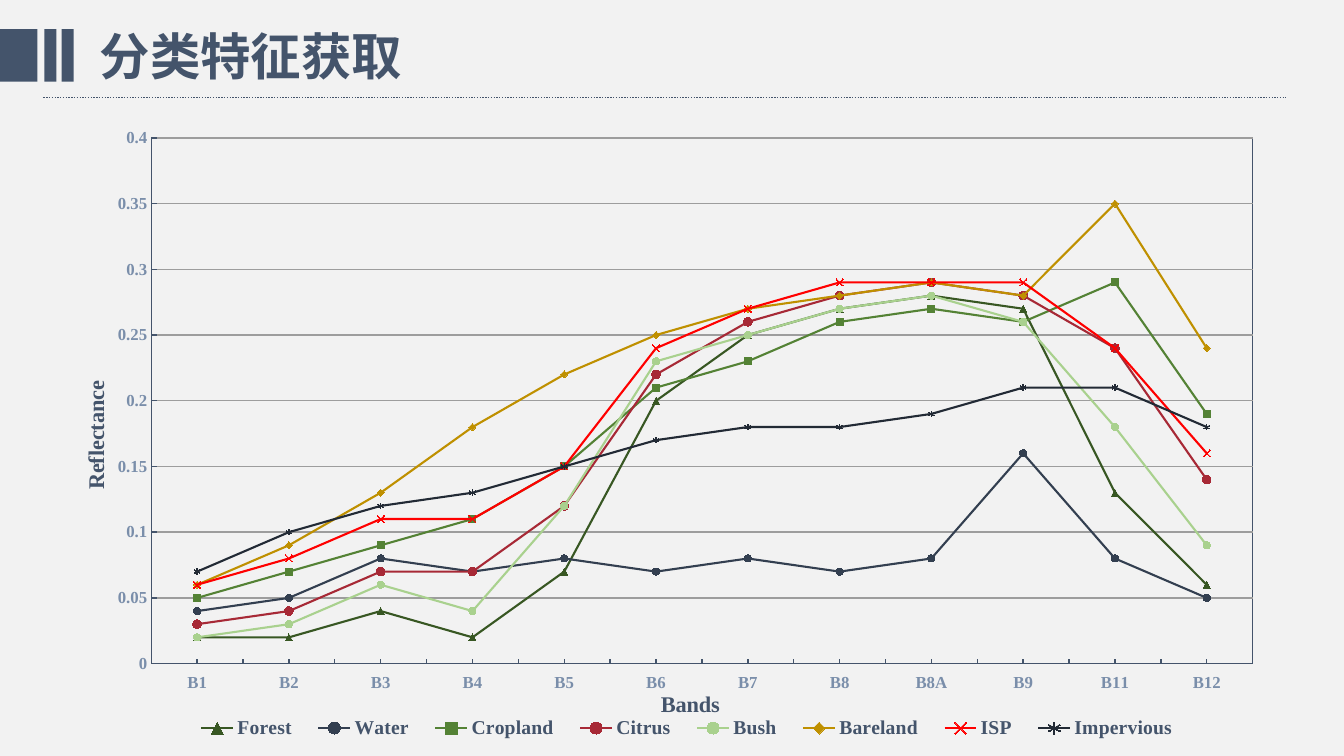
"""Builds the slide with the spectral reflectance chart of eight land cover classes."""
from typing import Any, NamedTuple

from lxml.etree import SubElement
from pptx import Presentation
from pptx.chart.chart import Chart
from pptx.chart.data import CategoryChartData
from pptx.dml.color import RGBColor
from pptx.enum.chart import XL_CHART_TYPE, XL_LEGEND_POSITION, XL_MARKER_STYLE, XL_TICK_LABEL_POSITION, XL_TICK_MARK
from pptx.enum.dml import MSO_LINE
from pptx.enum.shapes import MSO_CONNECTOR, MSO_SHAPE
from pptx.enum.text import MSO_AUTO_SIZE
from pptx.oxml import parse_xml
from pptx.oxml.ns import nsdecls, qn
from pptx.slide import Slide
from pptx.util import Inches, Length, Pt

SLATE = RGBColor(0x44, 0x54, 0x6B)
MIST = RGBColor(0x7A, 0x8E, 0xAA)
PAPER = RGBColor(0xF2, 0xF2, 0xF2)
GRID = RGBColor(0x9D, 0x9D, 0x9D)
FOREST = RGBColor(0x38, 0x57, 0x23)
WATER = RGBColor(0x33, 0x3F, 0x50)
CROPLAND = RGBColor(0x54, 0x82, 0x35)
CITRUS = RGBColor(0xA7, 0x29, 0x36)
BUSH = RGBColor(0xA9, 0xD1, 0x8E)
BARELAND = RGBColor(0xBF, 0x90, 0x00)
RED = RGBColor(0xFF, 0x00, 0x00)
IMPERVIOUS = RGBColor(0x22, 0x2A, 0x35)
HEADING_FONT = "Noto Sans CJK SC"
CHART_FONT = "Times New Roman"
PAGE_WIDTH, PAGE_HEIGHT = Inches(13.33), Inches(7.5)


class Area(NamedTuple):
    """Position and size in percent of the surrounding frame."""
    left: float
    top: float
    width: float
    height: float


class Curve(NamedTuple):
    """One land cover class with its look and reflectances."""
    name: str
    color: RGBColor
    marker: XL_MARKER_STYLE
    size: int
    values: tuple[float, ...]


BARS = (Area(0, 3.87, 2.78, 6.93), Area(3.3, 3.87, 0.9, 6.93), Area(4.58, 3.87, 0.9, 6.93))
HEADING = Area(6.68, 2.67, 24.23, 9.47)
CHART = Area(5.25, 15.33, 89.57, 83.2)
PLOT = Area(6.7, 3.5, 91.5, 83.6)
LEGEND = Area(9.2, 95.1, 84, 4.5)
BANDS = ("B1", "B2", "B3", "B4", "B5", "B6", "B7", "B8", "B8A", "B9", "B11", "B12")
CURVES = (
    Curve("Forest", FOREST, XL_MARKER_STYLE.TRIANGLE, 5,
          (0.02, 0.02, 0.04, 0.02, 0.07, 0.2, 0.25, 0.27, 0.28, 0.27, 0.13, 0.06)),
    Curve("Water", WATER, XL_MARKER_STYLE.CIRCLE, 5,
          (0.04, 0.05, 0.08, 0.07, 0.08, 0.07, 0.08, 0.07, 0.08, 0.16, 0.08, 0.05)),
    Curve("Cropland", CROPLAND, XL_MARKER_STYLE.SQUARE, 5,
          (0.05, 0.07, 0.09, 0.11, 0.15, 0.21, 0.23, 0.26, 0.27, 0.26, 0.29, 0.19)),
    Curve("Citrus", CITRUS, XL_MARKER_STYLE.CIRCLE, 6,
          (0.03, 0.04, 0.07, 0.07, 0.12, 0.22, 0.26, 0.28, 0.29, 0.28, 0.24, 0.14)),
    Curve("Bush", BUSH, XL_MARKER_STYLE.CIRCLE, 5,
          (0.02, 0.03, 0.06, 0.04, 0.12, 0.23, 0.25, 0.27, 0.28, 0.26, 0.18, 0.09)),
    Curve("Bareland", BARELAND, XL_MARKER_STYLE.DIAMOND, 5,
          (0.06, 0.09, 0.13, 0.18, 0.22, 0.25, 0.27, 0.28, 0.29, 0.28, 0.35, 0.24)),
    Curve("ISP", RED, XL_MARKER_STYLE.X, 5,
          (0.06, 0.08, 0.11, 0.11, 0.15, 0.24, 0.27, 0.29, 0.29, 0.29, 0.24, 0.16)),
    Curve("Impervious", IMPERVIOUS, XL_MARKER_STYLE.STAR, 4,
          (0.07, 0.1, 0.12, 0.13, 0.15, 0.17, 0.18, 0.18, 0.19, 0.21, 0.21, 0.18)),
)
CATEGORY_FORMAT = {
    "tick_label_position": XL_TICK_LABEL_POSITION.LOW, "has_major_gridlines": False,
    "major_tick_mark": XL_TICK_MARK.NONE, "minor_tick_mark": XL_TICK_MARK.INSIDE}
VALUE_FORMAT = {
    "minimum_scale": 0, "maximum_scale": 0.4, "major_unit": 0.05, "has_major_gridlines": True,
    "major_tick_mark": XL_TICK_MARK.INSIDE, "minor_tick_mark": XL_TICK_MARK.NONE}


def across(share: float) -> Length:
    return Length(round(PAGE_WIDTH * share / 100))


def down(share: float) -> Length:
    return Length(round(PAGE_HEIGHT * share / 100))


def frame(area: Area) -> tuple[Length, ...]:
    return across(area.left), down(area.top), across(area.width), down(area.height)


def apply_format(target: Any, values: dict[str, Any]) -> None:
    for name, value in values.items():
        setattr(target, name, value)


def style_font(font: Any, size: int, color: RGBColor, name: str = CHART_FONT, bold: bool = True) -> None:
    apply_format(font, {"size": Pt(size), "bold": bold, "name": name})
    font.color.rgb = color


def style_line(line: Any, color: RGBColor, width: float = 1) -> None:
    line.color.rgb = color
    line.width = Pt(width)


def place(element: Any, index: int, kind: str, shares: dict[str, float]) -> None:
    for old in element.findall(qn("c:layout")):
        element.remove(old)
    layout = parse_xml(f"<c:layout {nsdecls('c')}/>")
    manual = SubElement(layout, qn("c:manualLayout"))
    if kind == "inner":
        SubElement(manual, qn("c:layoutTarget"), val="inner")
    for mode in ("xMode", "yMode"):
        SubElement(manual, qn(f"c:{mode}"), val="edge")
    for name, share in shares.items():
        SubElement(manual, qn(f"c:{name}"), val=f"{share / 100:.4f}")
    element.insert(index, layout)


def area_shares(area: Area) -> dict[str, float]:
    return dict(zip("xywh", area))


def add_axis(axis: Any, title: str, left: float, top: float, rotation: int, values: dict[str, Any]) -> None:
    apply_format(axis, values)
    style_font(axis.tick_labels.font, 12, MIST)
    style_line(axis.format.line, SLATE)
    paragraph = axis.axis_title.text_frame.paragraphs[0]
    span = paragraph.add_run()
    span.text = title
    style_font(span.font, 16, SLATE)
    heading = axis.axis_title.element
    heading.xpath(".//a:bodyPr")[0].set("rot", str(rotation))
    place(heading, 1, "outer", {"x": left, "y": top})


def style_surfaces(chart: Chart) -> None:
    shell = f"<c:spPr {nsdecls('c', 'a')}>{{}}</c:spPr>"
    solid = '<a:solidFill><a:srgbClr val="{}"/></a:solidFill>'
    background = solid.format(PAPER) + "<a:ln><a:noFill/></a:ln>"
    border = f'<a:noFill/><a:ln w="{Pt(1)}">{solid.format(SLATE)}</a:ln>'
    chart.element.xpath("c:chart")[0].addnext(parse_xml(shell.format(background)))
    plot_area = chart.element.xpath(".//c:plotArea")[0]
    plot_area.append(parse_xml(shell.format(border)))
    place(plot_area, 0, "inner", area_shares(PLOT))


def add_reflectance_chart(page: Slide) -> None:
    data = CategoryChartData()
    data.categories = BANDS
    for curve in CURVES:
        data.add_series(curve.name, curve.values)
    chart = page.shapes.add_chart(XL_CHART_TYPE.LINE_MARKERS, *frame(CHART), data).chart
    apply_format(chart, {"has_title": False, "has_legend": True})
    style_font(chart.font, 10, SLATE, HEADING_FONT, False)
    chart.plots[0].vary_by_categories = False
    for series, curve in zip(chart.plots[0].series, CURVES):
        series.smooth = False
        style_line(series.format.line, curve.color, 1.5)
        apply_format(series.marker, {"style": curve.marker, "size": curve.size})
        series.marker.format.fill.solid()
        series.marker.format.fill.fore_color.rgb = curve.color
        style_line(series.marker.format.line, curve.color)
    add_axis(chart.category_axis, "Bands", 48.7, 90.6, 0, CATEGORY_FORMAT)
    add_axis(chart.value_axis, "Reflectance", 0.57, 41.5, -5400000, VALUE_FORMAT)
    style_line(chart.value_axis.major_gridlines.format.line, GRID)
    apply_format(chart.legend, {"position": XL_LEGEND_POSITION.BOTTOM, "include_in_layout": False})
    style_font(chart.legend.font, 14, SLATE)
    place(chart.element.xpath(".//c:legend")[0], 1, "outer", area_shares(LEGEND))
    style_surfaces(chart)


def add_header(page: Slide) -> None:
    for area in BARS:
        bar = page.shapes.add_shape(MSO_SHAPE.RECTANGLE, *frame(area))
        bar.shadow.inherit = False
        bar.fill.solid()
        bar.fill.fore_color.rgb = SLATE
        bar.line.fill.background()
    rule = page.shapes.add_connector(
        MSO_CONNECTOR.STRAIGHT, across(3.23), down(12.93), across(95.72), down(12.93))
    style_line(rule.line, SLATE)
    rule.line.dash_style = MSO_LINE.ROUND_DOT
    SubElement(rule.element.spPr, qn("a:effectLst"))
    box = page.shapes.add_textbox(*frame(HEADING))
    apply_format(box.text_frame, {"word_wrap": False, "auto_size": MSO_AUTO_SIZE.SHAPE_TO_FIT_TEXT})
    span = box.text_frame.paragraphs[0].add_run()
    span.text = "分类特征获取"
    style_font(span.font, 36, SLATE, HEADING_FONT)
    SubElement(box.element.xpath(".//a:rPr")[0], qn("a:ea"), typeface=HEADING_FONT)


def main() -> None:
    deck = Presentation()
    apply_format(deck, {"slide_width": PAGE_WIDTH, "slide_height": PAGE_HEIGHT})
    page = deck.slides.add_slide(deck.slide_layouts[6])
    page.background.fill.solid()
    page.background.fill.fore_color.rgb = PAPER
    add_header(page)
    add_reflectance_chart(page)
    deck.save("out.pptx")


if __name__ == "__main__":
    main()
